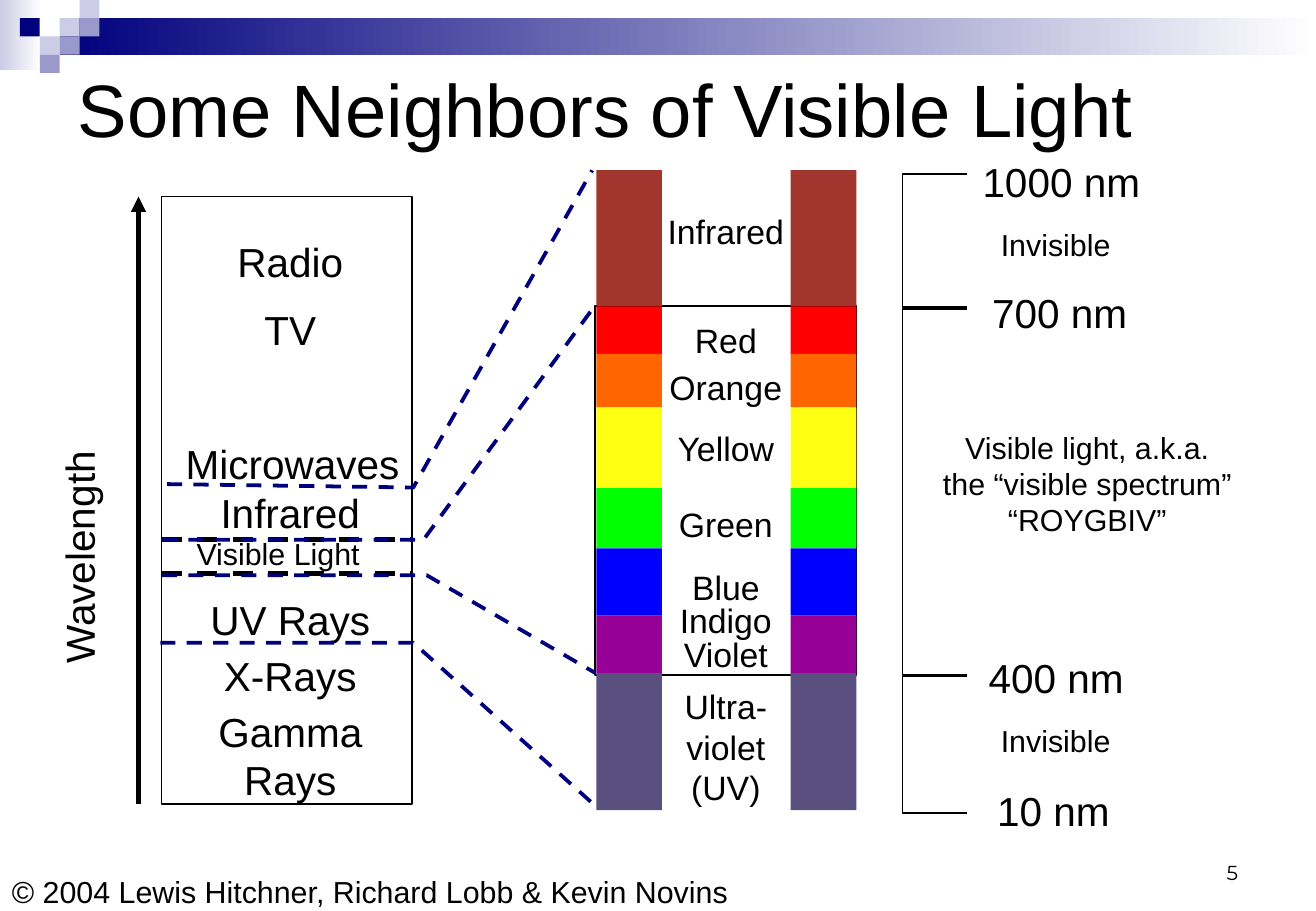
import pptx
import pptx.util
import pptx.dml.color
import pptx.enum.dml
import pptx.enum.shapes
import pptx.enum.text
import pptx.oxml.ns
import lxml.etree

Pt = pptx.util.Pt
ALIGN = pptx.enum.text.PP_ALIGN
ANCHOR = pptx.enum.text.MSO_ANCHOR

COLORS = {
    "black": "000000", "white": "FFFFFF", "navy": "00007D", "mid": "9999CC",
    "light": "CCCCE6", "infrared": "A2362E", "red": "FF0000", "orange": "FF6600",
    "yellow": "FFFF14", "green": "00FF00", "blue": "0000FF", "violet": "960096",
    "ultraviolet": "5A5080",
}

# Content: (text, top)
TITLE = "Some Neighbors of Visible Light"
FOOTER = "© 2004 Lewis Hitchner, Richard Lobb & Kevin Novins"
PAGE = "5"
WAVES = [("Radio", 136.8), ("TV", 177.1), ("Infrared", 285.8), ("UV Rays", 349.2),
         ("X-Rays", 382.3), ("Gamma\nRays", 415.4)]
HUES = [("Infrared", 121.7), ("Red", 185.8), ("Orange", 213.8), ("Yellow", 249.8),
        ("Green", 295.2), ("Blue", 332.6), ("Indigo", 352.1), ("Violet", 372.2),
        ("Ultra-\nviolet\n(UV)", 403.2)]
# Band colour and top; each band ends where the next begins
BANDS = [("infrared", 100.8), ("red", 181.6), ("orange", 209.8), ("yellow", 241.6),
         ("green", 289.4), ("blue", 325), ("violet", 365), ("ultraviolet", 399)]
BANDS_END = 480.2
# Scale labels: (text, left, top, width, size)
SCALE = [("1000 nm", 575.3, 89.3, 108, 24), ("700 nm", 581, 167, 94.3, 24),
         ("400 nm", 578.9, 383.8, 94.3, 24), ("10 nm", 583.9, 462.2, 81.4, 24),
         ("Invisible", 586.1, 130.3, 79.9, 18), ("Invisible", 586.1, 424.8, 79.9, 18)]
VISIBLE_NOTE = "Visible light, a.k.a.\nthe “visible spectrum”\n“ROYGBIV”"
BRACKETS = [(103, 182.2), (182.9, 399.6), (401, 481.7)]
# Dashed links from the wave box to the bands
LINKS = [
    [(99.4, 287.3), (244.8, 288.7), (351.4, 100.8)],
    [(95.8, 319.7), (251.3, 319.7), (352.1, 182.2)],
    [(95.8, 340.6), (253.4, 340.6), (352.8, 398.9)],
    [(95, 380.9), (244.8, 380.9), (351.4, 475.9)],
]
# Corner squares: (column, row, colour)
SQUARES = [(3, 1, "light"), (4, 0, "light"), (4, 1, "mid"), (2, 2, "light"),
           (1, 1, "navy"), (3, 2, "mid"), (2, 3, "mid")]

prs = pptx.Presentation()
prs.slide_width, prs.slide_height = Pt(780), Pt(540)
s = prs.slides.add_slide(prs.slide_layouts[6])


def rgb(name):
    return pptx.dml.color.RGBColor.from_string(COLORS[name])


def set_line(sp, width, color="black", dashed=False):
    sp.line.color.rgb = rgb(color)
    sp.line.width = Pt(width)
    if dashed:
        sp.line.dash_style = pptx.enum.dml.MSO_LINE.DASH


def add_rect(x, y, w, h, fill=None, gradient=None):
    sp = s.shapes.add_shape(pptx.enum.shapes.MSO_SHAPE.RECTANGLE,
                            Pt(x), Pt(y), Pt(w), Pt(h))
    sp.shadow.inherit = False
    sp.line.fill.background()
    if gradient:
        sp.fill.gradient()
        sp.fill.gradient_angle = 0
        for stop, name in zip(sp.fill.gradient_stops, gradient):
            stop.color.rgb = rgb(name)
    elif fill:
        sp.fill.solid()
        sp.fill.fore_color.rgb = rgb(fill)
    else:
        sp.fill.background()
        set_line(sp, 1)


def add_path(points, width, color="black", dashed=False):
    fb = s.shapes.build_freeform(*points[0], scale=Pt(1))
    fb.add_line_segments(points[1:], close=False)
    sp = fb.convert_to_shape()
    sp.shadow.inherit = False
    sp.fill.background()
    set_line(sp, width, color, dashed)


def add_line(x1, y1, x2, y2, width, dashed=False, arrow=False):
    sp = s.shapes.add_connector(pptx.enum.shapes.MSO_CONNECTOR.STRAIGHT,
                                Pt(x1), Pt(y1), Pt(x2), Pt(y2))
    set_line(sp, width, dashed=dashed)
    spPr = sp._element.spPr
    if arrow:
        ln = spPr.find(pptx.oxml.ns.qn("a:ln"))
        lxml.etree.SubElement(ln, pptx.oxml.ns.qn("a:tailEnd"), type="triangle")
    lxml.etree.SubElement(spPr, pptx.oxml.ns.qn("a:effectLst"))


def add_text(text, x, y, w, h, size=24, font="Arial", align=ALIGN.LEFT,
             anchor=ANCHOR.TOP, wrap=False, rotation=0):
    sp = s.shapes.add_textbox(Pt(x), Pt(y), Pt(w), Pt(h))
    sp.rotation = rotation
    tf = sp.text_frame
    tf.word_wrap = wrap
    tf.vertical_anchor = anchor
    p = tf.paragraphs[0]
    p.text = text
    p.alignment = align
    for r in p.runs:
        r.font.size = Pt(size)
        r.font.name = font
        r.font.color.rgb = rgb("black")


# Header decoration
CELL_W, CELL_H = 11.8, 10.8
add_rect(0, 0, 24.5, 41.8, gradient=("light", "white"))
add_rect(35.3, CELL_H, 744.7, 21.6, gradient=("navy", "white"))
for col, row, name in SQUARES:
    add_rect(col * CELL_W, row * CELL_H, CELL_W, CELL_H, fill=name)

# Title, page number and footer
add_text(TITLE, 38.9, 36, 702, 56.2, size=44, anchor=ANCHOR.MIDDLE, wrap=True)
add_text(PAGE, 558.7, 491.8, 182.2, 36, size=12, font="Montserrat",
         align=ALIGN.RIGHT, anchor=ANCHOR.BOTTOM, wrap=True)
add_text(FOOTER, 0, 514.1, 442.8, 28.8, size=18)

# Wavelength scale on the right
for top, bottom in BRACKETS:
    add_path([(573.2, top), (534.6, top), (534.6, bottom), (573.2, bottom)], 1)
for text, x, y, w, size in SCALE:
    add_text(text, x, y, w, 36, size=size)
add_text(VISIBLE_NOTE, 551.5, 250.6, 185.8, 72, size=18, align=ALIGN.CENTER)

# Box of wave types with its axis
add_rect(95.8, 116.6, 148.3, 360)
add_line(82.1, 476.6, 82.1, 116.6, 3, arrow=True)
add_text("Wavelength", -23.8, 311.8, 141.1, 36, rotation=270)
for y in (319.7, 339.8):
    add_line(95.8, y, 244.1, y, 3, dashed=True)
for text, y in WAVES:
    add_text(text, 100.1, y, 144, 36, align=ALIGN.CENTER, wrap=True)
add_text("Microwaves", 103, 257, 141.1, 36)
add_text("Visible Light", 109.4, 313.9, 111.6, 28.8, size=18)

# Spectrum bands in two columns, with names between
add_rect(352.8, 181.4, 154.8, 218.9)
edges = [top for _, top in BANDS] + [BANDS_END]
for x in (353.5, 468.7):
    for (name, top), bottom in zip(BANDS, edges[1:]):
        add_rect(x, top, 38.9, bottom - top, fill=name)
for text, y in HUES:
    add_text(text, 360.4, y, 139.7, 31, size=20, align=ALIGN.CENTER, wrap=True)

# Dashed links
for points in LINKS:
    add_path(points, 2.25, color="navy", dashed=True)

prs.save("out.pptx")
